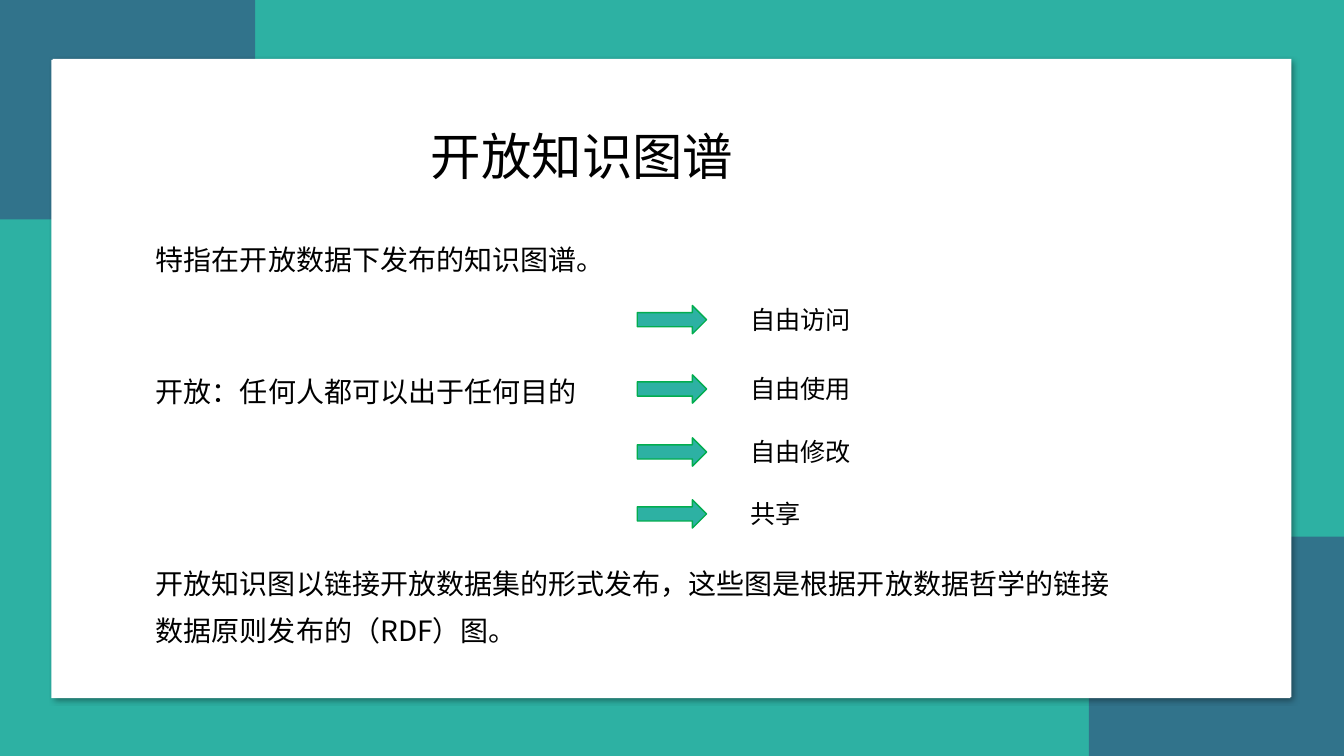
from lxml.etree import SubElement
from pptx import Presentation
from pptx.dml.color import RGBColor
from pptx.enum.shapes import MSO_SHAPE
from pptx.enum.text import MSO_AUTO_SIZE, PP_ALIGN
from pptx.oxml.ns import qn
from pptx.util import Emu, Pt

EMU_PER_PX = 9525
WIDTH, HEIGHT = 1280, 720
FONT = "Noto Sans CJK SC"
COLORS = {
    "teal": "2DB1A3",
    "blue": "31738B",
    "white": "FFFFFF",
    "black": "000000",
    "green": "02AD4F",
}


def px(value):
    return Emu(value * EMU_PER_PX)


def color(name):
    return RGBColor.from_string(COLORS[name])


def add_block(slide, kind, left, top, width, height, fill, line=None):
    shape = slide.shapes.add_shape(kind, px(left), px(top), px(width), px(height))
    shape.shadow.inherit = False
    shape.fill.solid()
    shape.fill.fore_color.rgb = color(fill)
    if line:
        shape.line.color.rgb = color(line)
        shape.line.width = Pt(1)
    else:
        shape.line.fill.background()
    return shape


def add_shadow(shape):
    effects = shape._element.spPr.find(qn("a:effectLst"))
    shadow = SubElement(effects, qn("a:outerShdw"), blurRad=str(Pt(4)),
                        dist=str(Pt(3)), dir=str(45 * 60000),
                        algn="tl", rotWithShape="0")
    shade = SubElement(shadow, qn("a:srgbClr"), val=COLORS["black"])
    SubElement(shade, qn("a:alpha"), val="40000")


def add_text(slide, text, left, top, width, height, size, spacing=None, align=None):
    box = slide.shapes.add_textbox(px(left), px(top), px(width), px(height))
    frame = box.text_frame
    frame.word_wrap = True
    frame.auto_size = MSO_AUTO_SIZE.SHAPE_TO_FIT_TEXT
    paragraph = frame.paragraphs[0]
    paragraph.text = text
    paragraph.line_spacing = spacing
    paragraph.alignment = align
    paragraph.font.size = Pt(size)
    paragraph.font.color.rgb = color("black")
    paragraph.font.name = FONT
    # East Asian characters take their own typeface
    defaults = paragraph._p.pPr.find(qn("a:defRPr"))
    SubElement(defaults, qn("a:ea"), typeface=FONT)


def add_backdrop(slide):
    slide.background.fill.solid()
    slide.background.fill.fore_color.rgb = color("teal")
    # Opposite corners
    corner_width, corner_height = 243, 209
    for left, top in ((0, 0), (WIDTH - corner_width, HEIGHT - corner_height)):
        add_block(slide, MSO_SHAPE.RECTANGLE, left, top,
                  corner_width, corner_height, "blue")
    # Card with its shadow, and the white panel over it
    card = add_block(slide, MSO_SHAPE.RECTANGLE, 50, 56, 1180, 608, "white")
    add_shadow(card)
    add_block(slide, MSO_SHAPE.RECTANGLE, 49, 57, 1180, 608, "white")


def add_freedom(slide, text, top, width):
    add_block(slide, MSO_SHAPE.RIGHT_ARROW, 607, top + 6, 66, 27, "teal", "green")
    add_text(slide, text, 705, top, width, 38, 18)


def main():
    presentation = Presentation()
    presentation.slide_width, presentation.slide_height = px(WIDTH), px(HEIGHT)
    slide = presentation.slides.add_slide(presentation.slide_layouts[6])
    add_backdrop(slide)

    # Title
    add_text(slide, "开放知识图谱", 401, 114, 454, 68, 36, align=PP_ALIGN.JUSTIFY)

    # Statements
    for text, top, width, height in (
        ("特指在开放数据下发布的知识图谱。", 213, 457, 55),
        ("开放：任何人都可以出于任何目的", 339, 457, 55),
        ("开放知识图以链接开放数据集的形式发布，这些图是根据开放数据哲学的链接"
         "数据原则发布的（RDF）图。", 522, 952, 100),
    ):
        add_text(slide, text, 139, top, width, height, 20, spacing=1.4)

    # What anyone is free to do
    for text, top, width in (
        ("自由访问", 285, 151),
        ("自由使用", 351, 124),
        ("自由修改", 411, 124),
        ("共享", 470, 77),
    ):
        add_freedom(slide, text, top, width)

    presentation.save("out.pptx")


if __name__ == "__main__":
    main()
